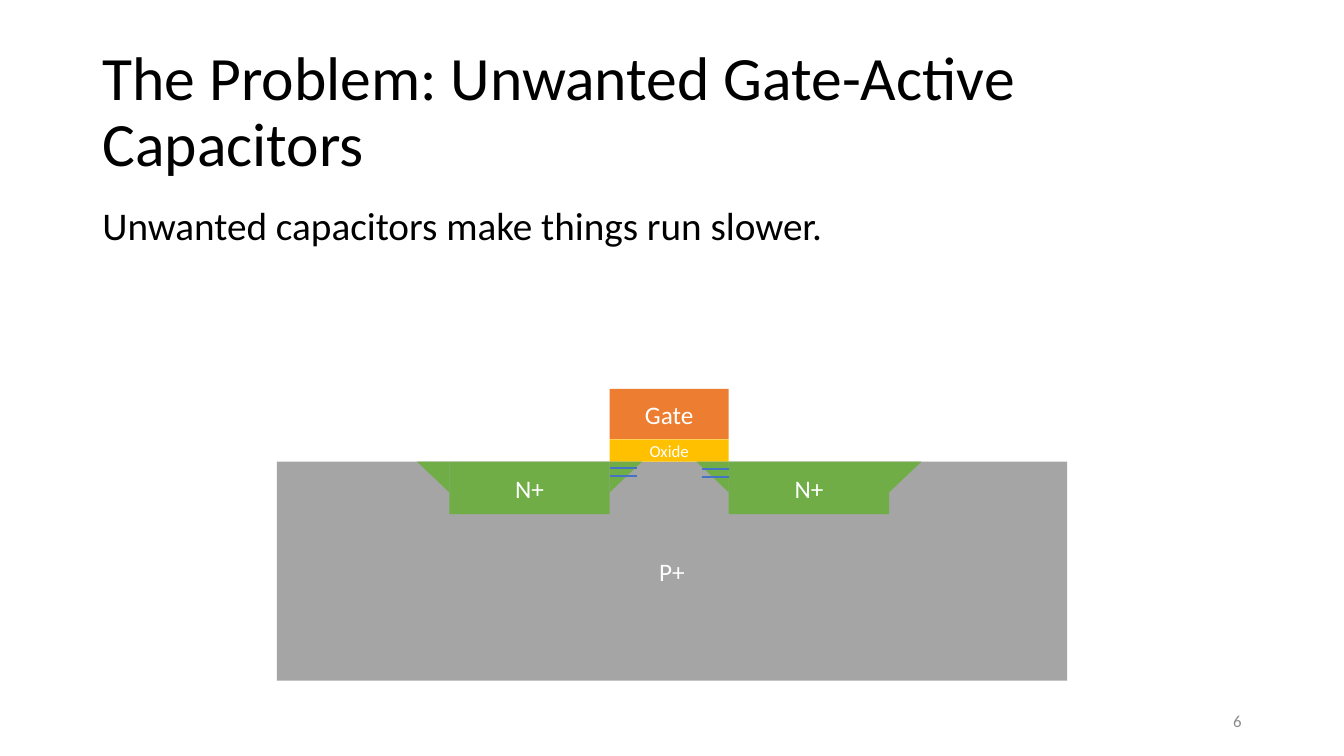
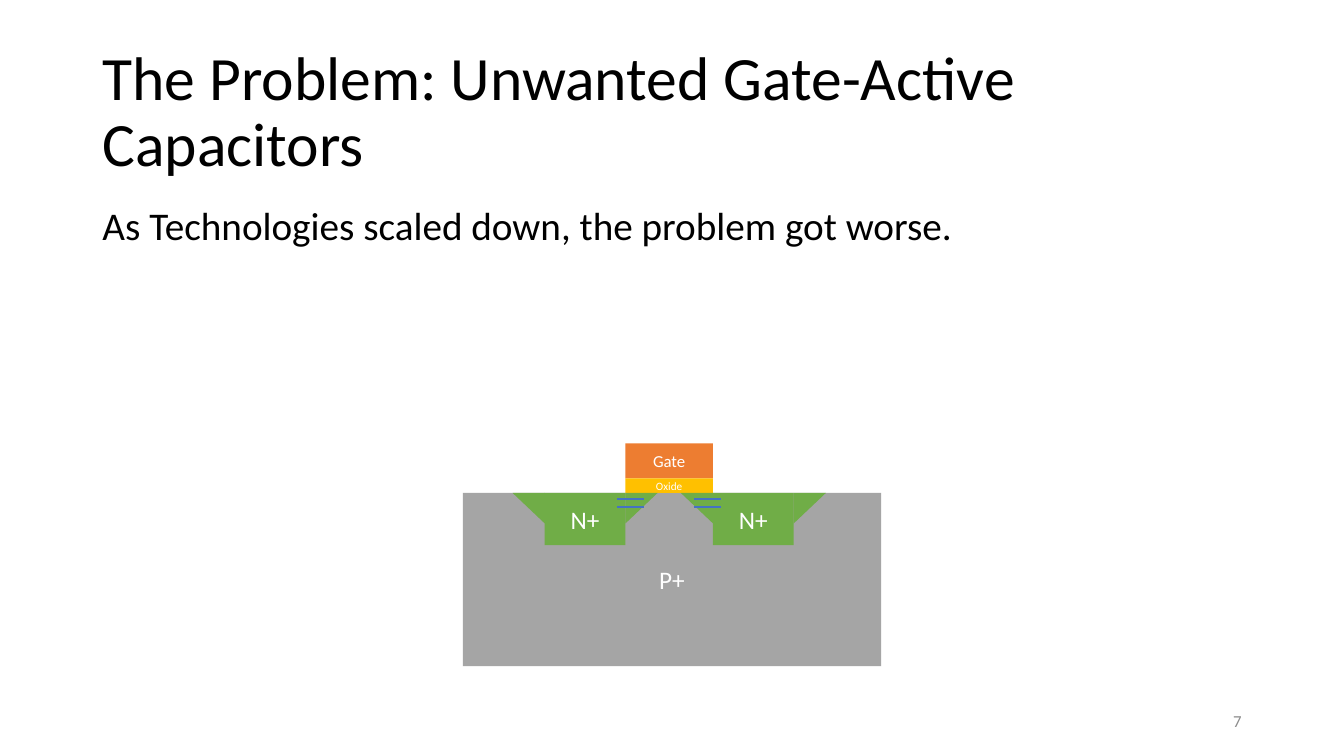
from dataclasses import dataclass

from lxml.etree import SubElement
from pptx import Presentation
from pptx.dml.color import RGBColor
from pptx.enum.shapes import MSO_CONNECTOR, MSO_SHAPE
from pptx.enum.text import MSO_ANCHOR, MSO_AUTO_SIZE, PP_ALIGN
from pptx.oxml.ns import qn
from pptx.util import Pt

FONT = "Calibri"
BLACK, WHITE, PAGE_GRAY = "000000", "FFFFFF", "8C8C8C"
SUBSTRATE, GATE, OXIDE, ACTIVE, PLATE = "A5A5A5", "ED7D31", "FFC000", "70AD47", "4472C4"

SUBSTRATE_CENTER, GATE_CENTER = 480, 478
ACTIVE_HEIGHT = 37.4
WING_WIDTH, WING_HEIGHT = 23, 21.8
PLATE_LENGTH, PLATE_GAP = 19.4, 5.8


@dataclass
class Transistor:
    """Cross-section sizes in points; plate_overhang is how far plates pass the gate edge."""
    surface: float
    substrate_width: float
    substrate_height: float
    gate_width: float
    gate_height: float
    oxide_height: float
    active_width: float
    gate_size: float
    oxide_size: float
    plate_overhang: float
    plate_depths: tuple


def color(hex_string):
    return RGBColor.from_string(hex_string)


def write(frame, text, size=18, ink=WHITE, align=PP_ALIGN.CENTER,
          anchor=MSO_ANCHOR.MIDDLE, line_spacing=1.0, space_before=0):
    frame.word_wrap = True
    frame.auto_size = MSO_AUTO_SIZE.NONE
    frame.vertical_anchor = anchor
    paragraph = frame.paragraphs[0]
    paragraph.alignment = align
    paragraph.line_spacing = line_spacing
    paragraph.space_before = Pt(space_before)
    run = paragraph.add_run()
    run.text = text
    run.font.name = FONT
    run.font.size = Pt(size)
    run.font.color.rgb = color(ink)
    return paragraph


class Deck:
    def __init__(self):
        self.presentation = Presentation()
        self.presentation.slide_width = Pt(960)
        self.presentation.slide_height = Pt(540)
        self.slide = None

    def new_slide(self, title, statement, number):
        self.slide = self.presentation.slides.add_slide(self.presentation.slide_layouts[1])
        heading, body = self.slide.placeholders
        self.place(heading, 66, 28.8, 828, 104.4)
        write(heading.text_frame, title, size=44, ink=BLACK,
              align=PP_ALIGN.LEFT, line_spacing=0.9)
        self.place(body, 66, 143.8, 828, 342.6)
        paragraph = write(body.text_frame, statement, size=28, ink=BLACK, align=PP_ALIGN.LEFT,
                          anchor=MSO_ANCHOR.TOP, line_spacing=0.9, space_before=10)
        self.remove_bullet(paragraph)
        page = self.slide.shapes.add_textbox(Pt(678), Pt(500.5), Pt(216), Pt(28.8))
        write(page.text_frame, number, size=12, ink=PAGE_GRAY, align=PP_ALIGN.RIGHT)

    def place(self, shape, left, top, width, height):
        shape.left, shape.top, shape.width, shape.height = map(Pt, (left, top, width, height))

    def remove_bullet(self, paragraph):
        properties = paragraph._p.get_or_add_pPr()
        properties.set("marL", "0")
        properties.set("indent", "0")
        SubElement(properties, qn("a:buNone"))

    def solid(self, kind, left, top, width, height, fill):
        shape = self.slide.shapes.add_shape(kind, Pt(left), Pt(top), Pt(width), Pt(height))
        shape.shadow.inherit = False
        shape.fill.solid()
        shape.fill.fore_color.rgb = color(fill)
        shape.line.fill.background()
        return shape

    def region(self, text, left, top, width, height, fill, size=18):
        frame = self.solid(MSO_SHAPE.RECTANGLE, left, top, width, height, fill).text_frame
        frame.margin_left = frame.margin_right = frame.margin_top = frame.margin_bottom = 0
        write(frame, text, size=size)

    def wing(self, left, top, mirrored):
        """Triangle with its right angle at the top right, or at the top left if mirrored."""
        shape = self.solid(MSO_SHAPE.RIGHT_TRIANGLE, left, top, WING_WIDTH, WING_HEIGHT, ACTIVE)
        shape.rotation = 180
        if mirrored:
            shape._element.spPr.find(qn("a:xfrm")).set("flipH", "1")

    def plate(self, left, y):
        line = self.slide.shapes.add_connector(
            MSO_CONNECTOR.STRAIGHT, Pt(left), Pt(y), Pt(left + PLATE_LENGTH), Pt(y))
        line.line.color.rgb = color(PLATE)
        line.line.width = Pt(1.5)
        SubElement(line._element.spPr, qn("a:effectLst"))

    def transistor(self, t):
        gate_left = GATE_CENTER - t.gate_width / 2
        gate_right = gate_left + t.gate_width
        oxide_top = t.surface - t.oxide_height
        self.region("P+", SUBSTRATE_CENTER - t.substrate_width / 2, t.surface,
                    t.substrate_width, t.substrate_height, SUBSTRATE)
        self.region("Gate", gate_left, oxide_top - t.gate_height,
                    t.gate_width, t.gate_height, GATE, t.gate_size)
        self.region("Oxide", gate_left, oxide_top,
                    t.gate_width, t.oxide_height, OXIDE, t.oxide_size)
        for active_left in (gate_left - t.active_width, gate_right):
            self.region("N+", active_left, t.surface, t.active_width, ACTIVE_HEIGHT, ACTIVE)
            self.wing(active_left - WING_WIDTH, t.surface, mirrored=False)
            self.wing(active_left + t.active_width, t.surface, mirrored=True)
        plate_lefts = (gate_left - t.plate_overhang,
                       gate_right + t.plate_overhang - PLATE_LENGTH)
        for plate_left, depth in zip(plate_lefts, t.plate_depths):
            for y in (t.surface + depth, t.surface + depth + PLATE_GAP):
                self.plate(plate_left, y)


def main():
    title = "The Problem: Unwanted Gate-Active Capacitors"
    large = Transistor(surface=329.8, substrate_width=564.4, substrate_height=156.4,
                       gate_width=85, gate_height=36, oxide_height=16, active_width=114.6,
                       gate_size=18, oxide_size=12, plate_overhang=0, plate_depths=(4.3, 5))
    small = Transistor(surface=352.1, substrate_width=298.8, substrate_height=123.8,
                       gate_width=62.6, gate_height=25, oxide_height=10.4, active_width=57.6,
                       gate_size=12, oxide_size=8, plate_overhang=5.8, plate_depths=(4.3, 4.3))
    pages = (
        ("Unwanted capacitors make things run slower.", large),
        ("As Technologies scaled down, the problem got worse.", small),
    )
    deck = Deck()
    for number, (statement, transistor) in enumerate(pages, start=6):
        deck.new_slide(title, statement, str(number))
        deck.transistor(transistor)
    deck.presentation.save("out.pptx")


if __name__ == "__main__":
    main()
